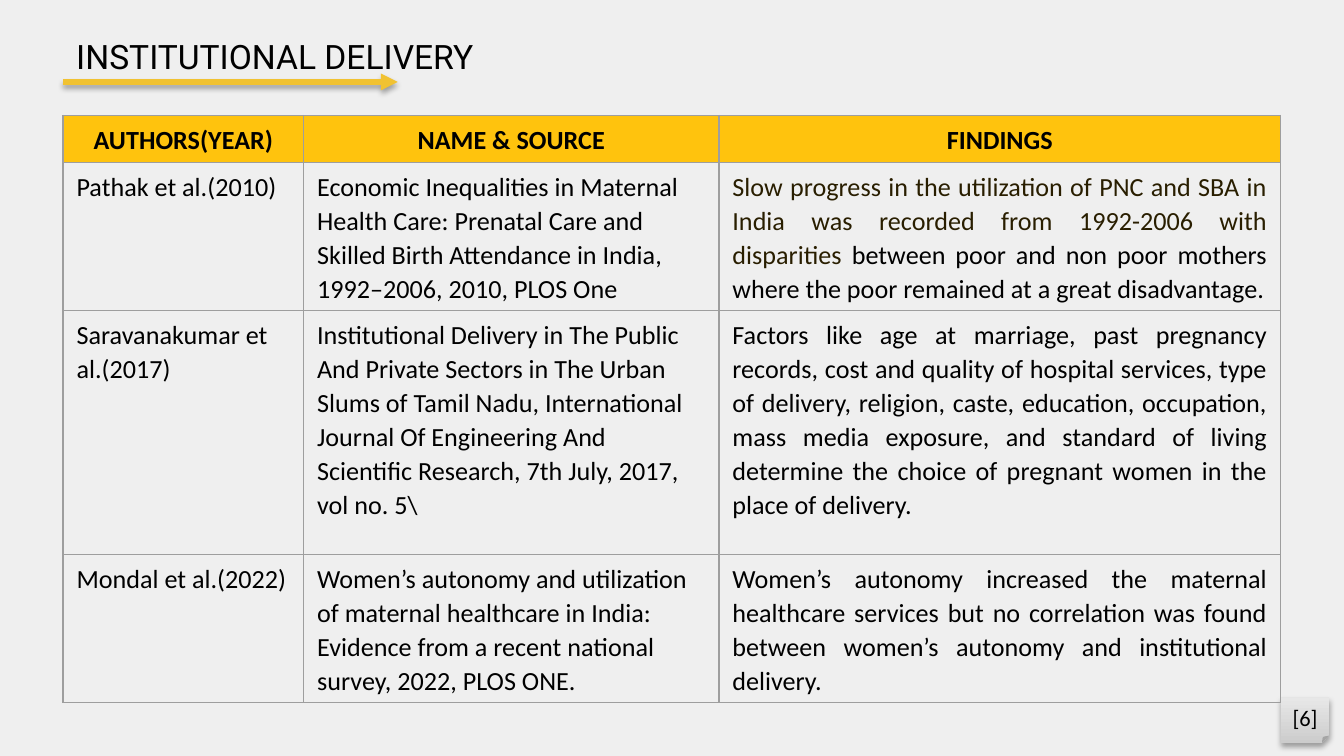
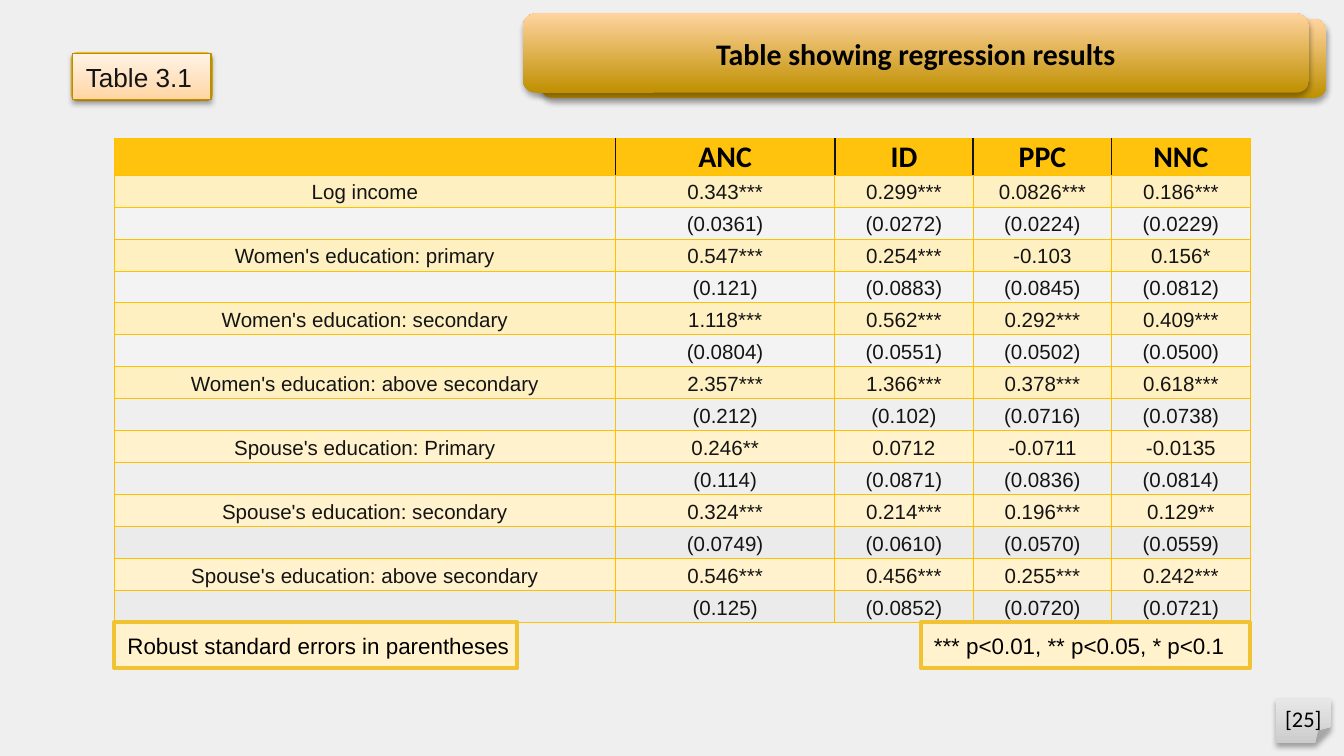
from lxml import etree
from pptx import Presentation, util as u
from pptx.dml.color import RGBColor
from pptx.enum import shapes, text
from pptx.oxml import ns, parse_xml

Pt = u.Pt
rgb = RGBColor.from_string
kinds = shapes.MSO_SHAPE
LEFT, MID, FULL = text.PP_ALIGN.LEFT, text.PP_ALIGN.CENTER, text.PP_ALIGN.JUSTIFY

BLACK, INK, BROWN = "000000", "141414", "291E00"
BACK, GOLD, AMBER, LINE = "EFEFEF", "FFC30D", "FFC000", "F1C232"
CREAM, BUFF, PALE, GREY = "FFF0C2", "FFF2CC", "F3F3F3", "EBEBEB"
FOLD = [(0, "CCCCCC"), (100, "E7E7E7")]
BRONZE = [(0, "BF9000"), (100, "FFD4A0")]
PEACH = [(0, "FFD4A0"), (35, "FFE0BC"), (100, "FFF3E5")]
SHADE = (f'<a:effectLst {ns.nsdecls("a")}><a:outerShdw blurRad="39370" dist="22860" '
         'dir="5400000" rotWithShape="0"><a:srgbClr val="000000">'
         '<a:alpha val="35000"/></a:srgbClr></a:outerShdw></a:effectLst>')


def box(slide, kind, x, y, w, h, fill, line=None, width=2, adj=None, shade=False):
    """Add a preset shape; a list as fill is a gradient that runs upward."""
    shape = slide.shapes.add_shape(kind, Pt(x), Pt(y), Pt(w), Pt(h))
    props = shape._element.spPr
    form = props.find(ns.qn("a:prstGeom"))
    if adj is not None:
        guides = form.find(ns.qn("a:avLst"))
        guides.clear()
        etree.SubElement(guides, ns.qn("a:gd"), name="adj",
                         fmla=f"val {round(adj * 100000)}")
    if line:
        shape.line.color.rgb = rgb(line)
        shape.line.width = Pt(width)
    else:
        shape.line.fill.background()
    if isinstance(fill, str):
        shape.fill.solid()
        shape.fill.fore_color.rgb = rgb(fill)
    else:
        stops = "".join(f'<a:gs pos="{pos * 1000}"><a:srgbClr val="{tone}"/></a:gs>'
                        for pos, tone in fill)
        form.addnext(parse_xml(
            f'<a:gradFill {ns.nsdecls("a")}><a:gsLst>{stops}</a:gsLst>'
            '<a:lin ang="16200000" scaled="0"/></a:gradFill>'))
    if shade:
        props.append(parse_xml(SHADE))
    else:
        shape.shadow.inherit = False
    return shape


def write(frame, words, size=12, font="Calibri", color=BLACK, bold=False,
          align=LEFT, space=None, after=None, pad=None, anchor=None):
    """Fill a frame with a string, or with a list of (string, colour) runs."""
    frame.word_wrap = True
    if pad:
        (frame.margin_left, frame.margin_top,
         frame.margin_right, frame.margin_bottom) = [Pt(p) for p in pad]
    if anchor is not None:
        frame.vertical_anchor = anchor
    para = frame.paragraphs[0]
    para.alignment = align
    if space:
        para.line_spacing = space
    if after:
        para.space_after = Pt(after)
    if not words:
        para._p.get_or_add_endParaRPr().set("sz", str(size * 100))
        return
    for part, tone in [(words, color)] if isinstance(words, str) else words:
        run = para.add_run()
        run.text = part
        run.font.size, run.font.name, run.font.bold = Pt(size), font, bold
        run.font.color.rgb = rgb(tone)


deck = Presentation()
deck.slide_width, deck.slide_height = Pt(720), Pt(405)
middle = text.MSO_ANCHOR.MIDDLE

# Ground and page mark of both slides
pages = []
for mark, x, y, w, h, adj in [("[6]", 686.2, 373.7, 25.9, 24.5, 0.167),
                              ("[25]", 683.5, 374.2, 29.5, 24, 0.348)]:
    page = deck.slides.add_slide(deck.slide_layouts[6])
    page.background.fill.solid()
    page.background.fill.fore_color.rgb = rgb(BACK)
    fold = box(page, kinds.FOLDED_CORNER, x, y, w, h, FOLD, adj=adj, shade=True)
    write(fold.text_frame, mark, align=MID, pad=(0, 3.6, 0, 0),
          anchor=text.MSO_ANCHOR.TOP)
    pages.append(page)
review, result = pages

# Title and arrow of the review slide
title = review.shapes.add_textbox(Pt(33.8), Pt(15.8), Pt(257), Pt(46))
write(title.text_frame, "INSTITUTIONAL DELIVERY", size=18, font="Roboto")
arrow = review.shapes.add_connector(shapes.MSO_CONNECTOR.STRAIGHT,
                                    Pt(33.8), Pt(43.9), Pt(213.1), Pt(43.9))
arrow.line.color.rgb = rgb(LINE)
arrow.line.width = Pt(3)
etree.SubElement(arrow.line._get_or_add_ln(), ns.qn("a:tailEnd"), type="triangle")
arrow._element.spPr.append(parse_xml(SHADE))

# Cells of both tables
papers = [
    ["AUTHORS(YEAR)", "NAME & SOURCE", "FINDINGS"],
    ["Pathak et al.(2010)",
     "Economic Inequalities in Maternal Health Care: Prenatal Care and Skilled Birth "
     "Attendance in India, 1992–2006, 2010, PLOS One",
     [("Slow progress in the utilization of PNC and SBA in India was recorded from "
       "1992-2006 with disparities ", BROWN),
      ("between poor and non poor mothers where the poor remained at a great "
       "disadvantage.", BLACK)]],
    ["Saravanakumar et al.(2017)",
     "Institutional Delivery in The Public And Private Sectors in The Urban Slums of "
     "Tamil Nadu, International Journal Of Engineering And Scientific Research, "
     "7th July, 2017, vol no. 5\\",
     "Factors like age at marriage, past pregnancy records, cost and quality of "
     "hospital services, type of delivery, religion, caste, education, occupation, "
     "mass media exposure, and standard of living determine the choice of pregnant "
     "women in the place of delivery."],
    ["Mondal et al.(2022)",
     "Women’s autonomy and utilization of maternal healthcare in India: Evidence from "
     "a recent national survey, 2022, PLOS ONE.",
     "Women’s autonomy increased the maternal healthcare services but no correlation "
     "was found between women’s autonomy and institutional delivery."],
]
scores = [["", "ANC", "ID", "PPC", "NNC"]]
for name, values, errors in [
    ("Log income", "0.343*** 0.299*** 0.0826*** 0.186***",
     "0.0361 0.0272 0.0224 0.0229"),
    ("Women's education: primary", "0.547*** 0.254*** -0.103 0.156*",
     "0.121 0.0883 0.0845 0.0812"),
    ("Women's education: secondary", "1.118*** 0.562*** 0.292*** 0.409***",
     "0.0804 0.0551 0.0502 0.0500"),
    ("Women's education: above secondary", "2.357*** 1.366*** 0.378*** 0.618***",
     "0.212 0.102 0.0716 0.0738"),
    ("Spouse's education: Primary", "0.246** 0.0712 -0.0711 -0.0135",
     "0.114 0.0871 0.0836 0.0814"),
    ("Spouse's education: secondary", "0.324*** 0.214*** 0.196*** 0.129**",
     "0.0749 0.0610 0.0570 0.0559"),
    ("Spouse's education: above secondary", "0.546*** 0.456*** 0.255*** 0.242***",
     "0.125 0.0852 0.0720 0.0721"),
]:
    scores.append([name, *values.split()])
    scores.append(["", *[f"({e})" for e in errors.split()]])

bands = [GOLD, *[CREAM, PALE] * 3, CREAM, None, BUFF, None, *[BUFF, GREY] * 2]
prose = dict(size=14, space=1.07, after=8)
head = dict(size=16, bold=True, align=MID, pad=(0, 0, 0, 0),
            anchor=text.MSO_ANCHOR.BOTTOM)
score = dict(size=11, font="Arial", color=INK, align=MID, space=1.15,
             pad=(3.6, 0, 3.6, 0), anchor=middle)

for page, x, y, cols, rows, cells, fills, edge, width, rule, top, body, aligns in [
    (review, 33.8, 61.9, [128.9, 222.5, 301], [20.9, 74.2, 131, 74.2], papers,
     [GOLD, None, None, None], "9E9E9E", 0.75, ("9E9E9E", 0.75),
     dict(prose, bold=True, align=MID), prose, [LEFT, LEFT, FULL]),
    (result, 61.2, 74.2, [268.6, 117.4, 74.2, 74.2, 74.2], [17.14] * 15, scores,
     bands, AMBER, 0.5, (INK, 1), head, score, [MID] * 5),
]:
    grid = page.shapes.add_table(len(rows), len(cols), Pt(x), Pt(y),
                                 Pt(sum(cols)), Pt(sum(rows))).table
    grid.first_row = grid.horz_banding = False
    for col, wide in zip(grid.columns, cols):
        col.width = Pt(wide)
    for r, (row, high) in enumerate(zip(grid.rows, rows)):
        row.height = Pt(high)
        for c, cell in enumerate(row.cells):
            inner = {"L": r == 0 and c > 0, "R": r == 0 and c < len(cols) - 1}
            for side in "LRTB":
                tone, thick = rule if inner.get(side) else (edge, width)
                cell._tc.get_or_add_tcPr().append(parse_xml(
                    f'<a:ln{side} {ns.nsdecls("a")} w="{int(Pt(thick))}"><a:solidFill>'
                    f'<a:srgbClr val="{tone}"/></a:solidFill></a:ln{side}>'))
            if fills[r]:
                cell.fill.solid()
                cell.fill.fore_color.rgb = rgb(fills[r])
            else:
                cell.fill.background()
            form = dict(top if r == 0 else dict(body, align=aligns[c]))
            pad, anchor = form.pop("pad", None), form.pop("anchor", None)
            if pad:
                (cell.margin_left, cell.margin_top,
                 cell.margin_right, cell.margin_bottom) = [Pt(p) for p in pad]
                cell.vertical_anchor = anchor
            write(cell.text_frame, cells[r][c], **form)

# Label, notes and banner of the result slide
spot = (38.9, 28.8, 74.2, 24.5)
box(result, kinds.ROUNDED_RECTANGLE, *spot, BUFF, LINE, adj=0.114)
label = box(result, kinds.RECTANGLE, *spot, PEACH, "BB8D00", 0.75, shade=True)
write(label.text_frame, "Table 3.1", size=14, font="Arial", color=INK,
      pad=(7.2, 0, 0, 0), anchor=middle)

for x, w, note in [(493.2, 176.4, "*** p<0.01, ** p<0.05, * p<0.1"),
                   (61.2, 216, "Robust standard errors in parentheses")]:
    strip = box(result, kinds.RECTANGLE, x, 333.4, w, 24.5, BUFF, LINE)
    write(strip.text_frame, note, font="Arial", pad=(7.2, 0, 0, 0), anchor=middle)

for x, y in [(289.4, 10.1), (280.1, 7.2)]:
    banner = box(result, kinds.ROUNDED_RECTANGLE, x, y, 421.2, 42.5, BRONZE,
                 adj=0.167, shade=True)
write(banner.text_frame, "Table showing regression results", size=16, bold=True,
      align=MID, anchor=middle)

deck.save("out.pptx")
